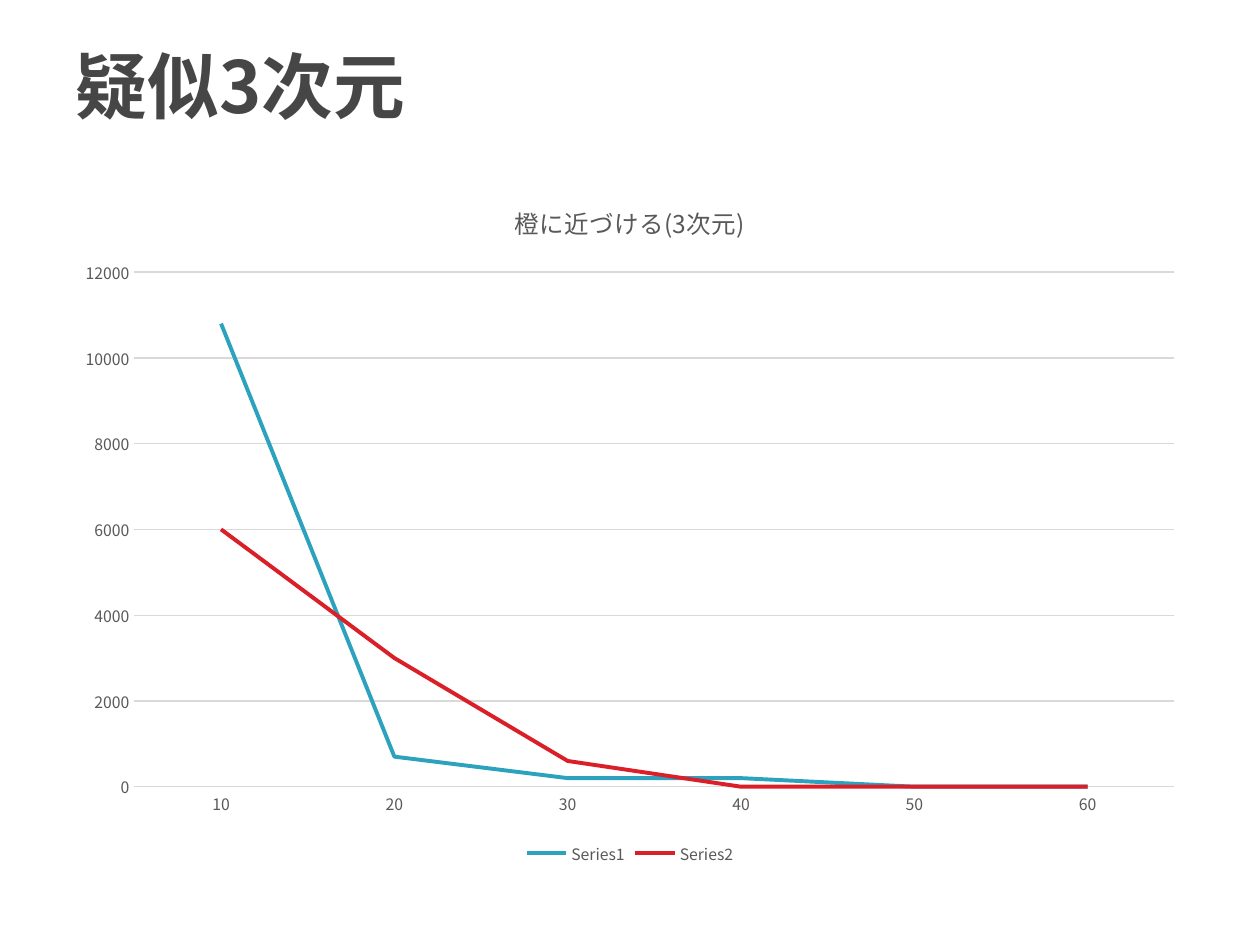
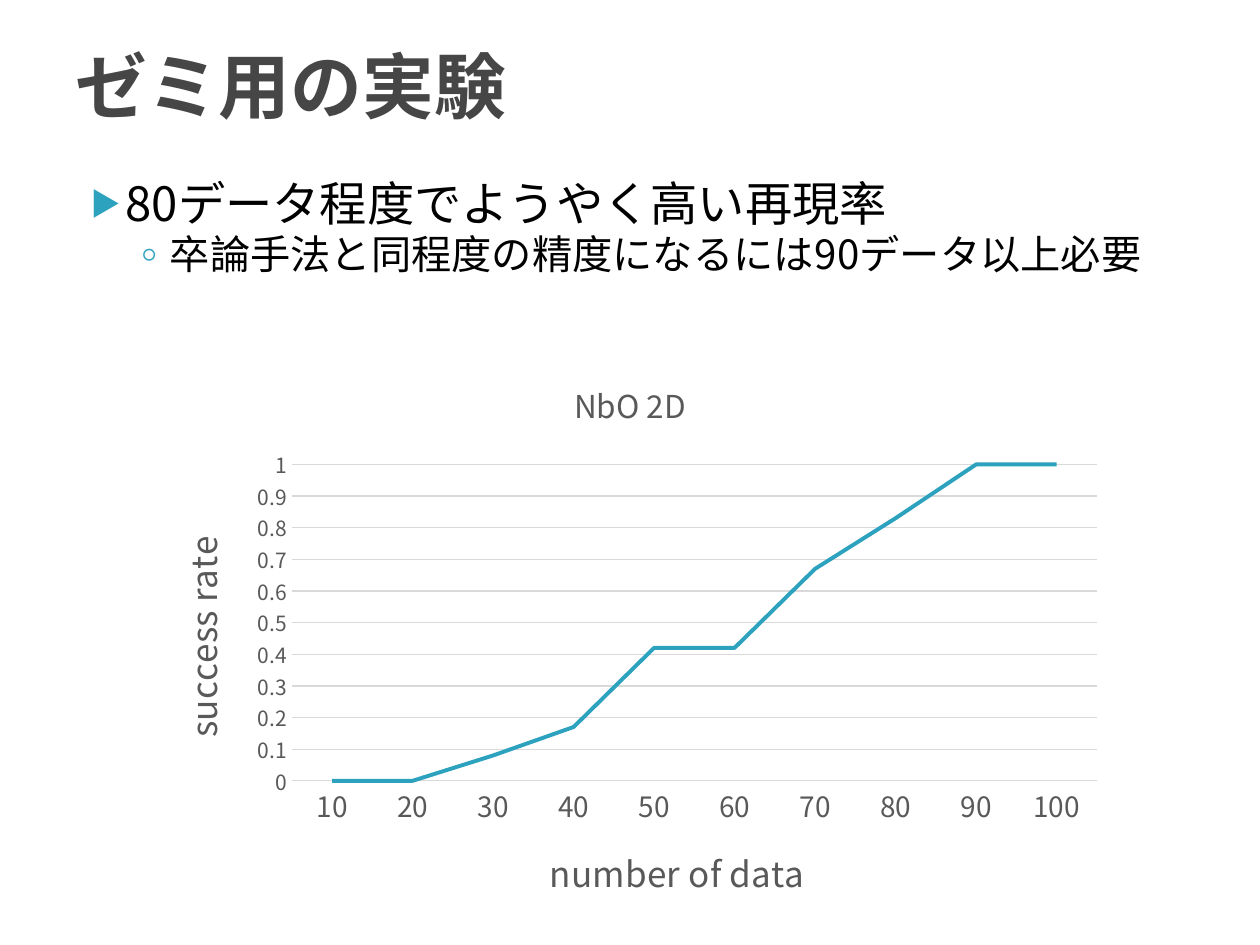
"""Build two slides on the success rate of an experiment, each with a line chart."""
import pptx
import pptx.chart.data
import pptx.dml.color
import pptx.enum.chart
import pptx.enum.text
import pptx.oxml
import pptx.oxml.ns
import pptx.util

COLORS = {"title": "464646", "body": "000000", "label": "595959",
          "grid": "D9D9D9", "blue": "2DA2BF", "red": "DA1F28"}
FONT = "Noto Sans CJK JP"
COLUMNS, ROWS = 20, 15
TITLE_AREA = (1, 0.1, 18, 2.5)
BODY_AREA = (1, 2.8, 18, 11)
LEVELS = [
    {"size": 27, "left": 0.4, "hang": 0.28, "before": 4, "bullet": "▶", "scale": 65},
    {"size": 23, "left": 0.68, "hang": 0.25, "before": 3.2, "bullet": "◦", "scale": 100},
]


def rgb(name):
    """Return the named colour."""
    return pptx.dml.color.RGBColor.from_string(COLORS[name])


class Deck:
    """Holds the style and the current slide."""

    def __init__(self):
        """Start an empty presentation."""
        self.presentation = pptx.Presentation()
        self.presentation.slide_width = pptx.util.Inches(10)
        self.presentation.slide_height = pptx.util.Inches(7.5)
        self.slide = None

    def add_slide(self, title):
        """Add a blank slide with its title."""
        self.slide = self.presentation.slides.add_slide(self.presentation.slide_layouts[6])
        frame = self.text_frame(TITLE_AREA, pptx.enum.text.MSO_ANCHOR.MIDDLE)
        self.add_run(frame.paragraphs[0], title, 41, "title", True)

    def place(self, area):
        """Turn grid columns and rows into lengths."""
        column = self.presentation.slide_width / COLUMNS
        row = self.presentation.slide_height / ROWS
        return [round(share * unit) for share, unit in zip(area, (column, row) * 2)]

    def text_frame(self, area, anchor):
        """Add a wrapping text box and return its frame."""
        frame = self.slide.shapes.add_textbox(*self.place(area)).text_frame
        frame.word_wrap = True
        frame.vertical_anchor = anchor
        return frame

    def style_font(self, font, size, color, bold=False):
        """Set the shared typeface with a size and a colour."""
        font.name = FONT
        font.size = pptx.util.Pt(size)
        font.bold = bold
        font.color.rgb = rgb(color)

    def set_east_asian_font(self, element):
        """Give every styled text in the element the same East Asian typeface."""
        for latin in element.iter(pptx.oxml.ns.qn("a:latin")):
            latin.addnext(pptx.oxml.parse_xml(
                f'<a:ea {pptx.oxml.ns.nsdecls("a")} typeface="{FONT}"/>'))

    def add_run(self, paragraph, text, size, color, bold=False):
        """Add one styled run."""
        run = paragraph.add_run()
        run.text = text
        self.style_font(run.font, size, color, bold)
        self.set_east_asian_font(run.font._element)

    def add_bullets(self, items):
        """Add the body text, one bullet for each level and text."""
        frame = self.text_frame(BODY_AREA, pptx.enum.text.MSO_ANCHOR.TOP)
        for index, (level, text) in enumerate(items):
            paragraph = frame.paragraphs[0] if index == 0 else frame.add_paragraph()
            style = LEVELS[level]
            paragraph.level = level
            paragraph.line_spacing = 0.85
            paragraph.space_before = pptx.util.Pt(style["before"])
            self.add_run(paragraph, text, style["size"], "body")
            properties = paragraph._p.get_or_add_pPr()
            properties.set("marL", str(pptx.util.Inches(style["left"])))
            properties.set("indent", str(-pptx.util.Inches(style["hang"])))
            for markup in (f'buClr {{}}><a:srgbClr val="{COLORS["blue"]}"/></a:buClr>',
                           f'buSzPct {{}} val="{style["scale"] * 1000}"/>',
                           f'buFont {{}} typeface="{FONT}"/>',
                           f'buChar {{}} char="{style["bullet"]}"/>'):
                properties.append(pptx.oxml.parse_xml(
                    "<a:" + markup.format(pptx.oxml.ns.nsdecls("a"))))

    def add_chart_title(self, title, text, size):
        """Write the title of a chart or an axis."""
        self.add_run(title.text_frame.paragraphs[0], text, size, "label")

    def style_axis(self, axis, size, title):
        """Style an axis and write its title if it has one."""
        axis.major_tick_mark = axis.minor_tick_mark = pptx.enum.chart.XL_TICK_MARK.NONE
        self.style_font(axis.tick_labels.font, size, "label")
        axis.has_title = bool(title)
        if title:
            self.add_chart_title(axis.axis_title, title, 20)

    def style_line(self, line, color, width):
        """Set the colour and width of a line."""
        line.color.rgb = rgb(color)
        line.width = pptx.util.Pt(width)

    def add_line_chart(self, area, title, title_size, categories, series, maximum, step,
                       label_sizes=(9, 9), axis_titles=("", ""), legend=False):
        """Add a line chart with horizontal grid lines."""
        data = pptx.chart.data.CategoryChartData()
        data.categories = categories
        for name, values, color in series:
            data.add_series(name, values)
        chart = self.slide.shapes.add_chart(
            pptx.enum.chart.XL_CHART_TYPE.LINE, *self.place(area), data).chart
        self.style_font(chart.font, 10, "body")
        chart.has_title = True
        self.add_chart_title(chart.chart_title, title, title_size)
        for axis, size, text in zip((chart.category_axis, chart.value_axis),
                                    label_sizes, axis_titles):
            self.style_axis(axis, size, text)
        self.style_line(chart.category_axis.format.line, "grid", 0.75)
        values_axis = chart.value_axis
        values_axis.format.line.fill.background()
        values_axis.minimum_scale, values_axis.maximum_scale = 0, maximum
        values_axis.major_unit = step
        self.style_line(values_axis.major_gridlines.format.line, "grid", 0.75)
        if values_axis.has_title:
            body = values_axis.axis_title.text_frame._txBody.bodyPr
            body.set("rot", "-5400000")
            body.set("vert", "horz")
        for plotted, (name, values, color) in zip(chart.plots[0].series, series):
            plotted.smooth = False
            plotted.marker.style = pptx.enum.chart.XL_MARKER_STYLE.NONE
            self.style_line(plotted.format.line, color, 2.25)
        chart.plots[0].vary_by_categories = False
        chart.has_legend = legend
        if legend:
            chart.legend.position = pptx.enum.chart.XL_LEGEND_POSITION.BOTTOM
            chart.legend.include_in_layout = False
            self.style_font(chart.legend.font, 9, "label")


def main():
    """Build and save the slides."""
    deck = Deck()
    deck.add_slide("疑似3次元")
    deck.add_line_chart(
        BODY_AREA, "橙に近づける(3次元)", 14, [str(count) for count in range(10, 70, 10)],
        [("Series1", (10800, 700, 200, 200, 0, 0), "blue"),
         ("Series2", (6000, 3000, 600, 0, 0, 0), "red")],
        12000, 2000, legend=True)

    deck.add_slide("ゼミ用の実験")
    deck.add_bullets([(0, "80データ程度でようやく高い再現率"),
                      (1, "卒論手法と同程度の精度になるには90データ以上必要")])
    deck.add_line_chart(
        (2.28, 5.62, 15.44, 9.14), "NbO 2D", 18, [str(count) for count in range(10, 110, 10)],
        [("Series 1", (0, 0, 0.08, 0.17, 0.42, 0.42, 0.67, 0.83, 1, 1), "blue")],
        1, 0.1, label_sizes=(16, 12), axis_titles=("number of data", "success rate"))
    deck.presentation.save("out.pptx")


if __name__ == "__main__":
    main()
